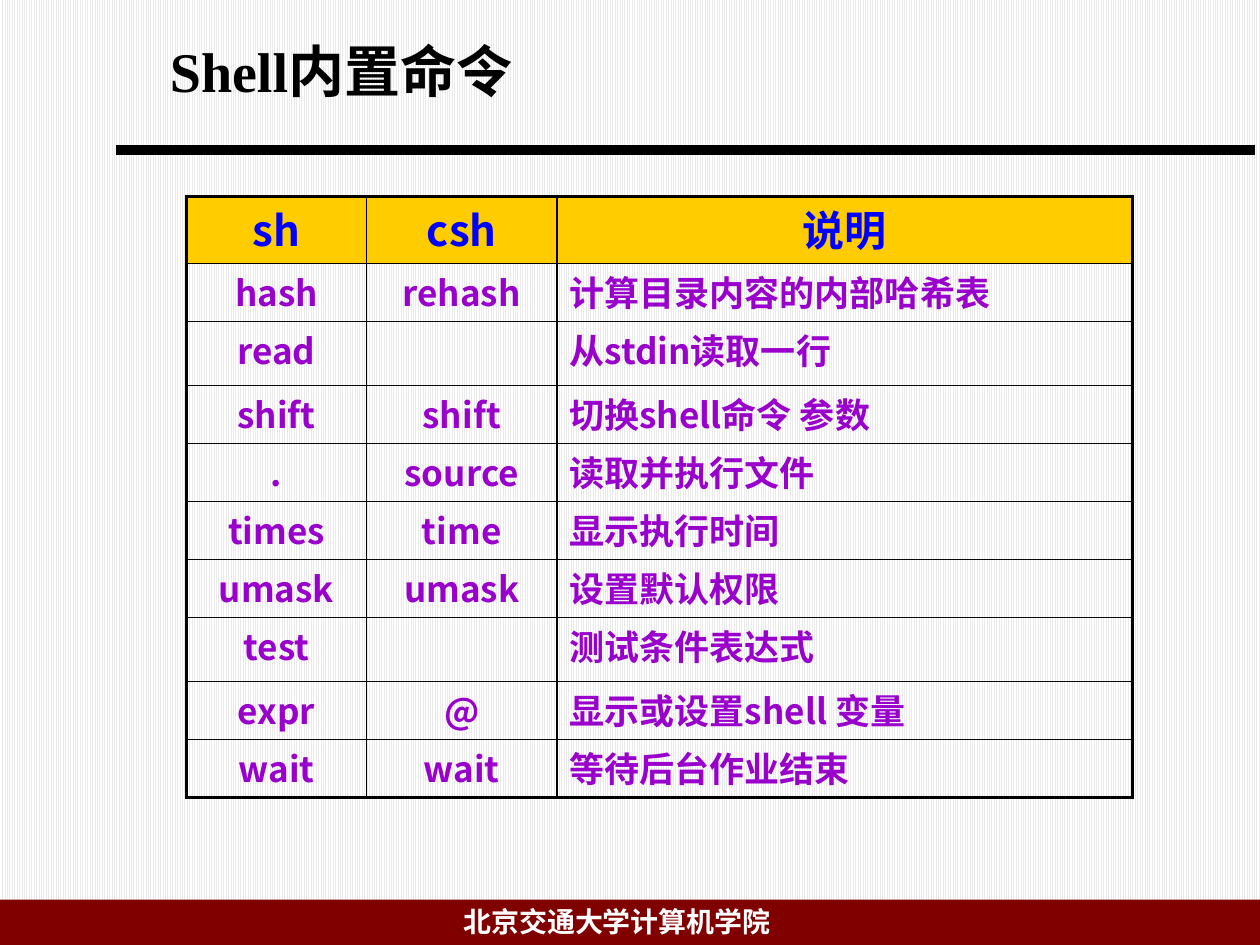
from typing import NamedTuple

from lxml.etree import SubElement
from pptx import Presentation
from pptx.dml.color import RGBColor
from pptx.enum.dml import MSO_PATTERN
from pptx.enum.shapes import MSO_CONNECTOR, MSO_SHAPE
from pptx.enum.text import MSO_ANCHOR, PP_ALIGN
from pptx.oxml.ns import qn
from pptx.util import Inches, Pt

COLORS = {
    "black": "000000",
    "white": "FFFFFF",
    "stripe": "EAEAEA",
    "footer": "800000",
    "header_fill": "FFCC00",
    "header_text": "0000FF",
    "body_text": "9900CC",
}
SANS = "Noto Sans CJK SC"
SERIF = "Times New Roman"


class TextStyle(NamedTuple):
    size: float
    color: str
    latin: str = SANS
    align: PP_ALIGN = PP_ALIGN.LEFT
    line_spacing: float = 0.9


class Command(NamedTuple):
    sh: str
    csh: str
    description: str


HEADER = Command("sh", "csh", "说明")
COMMANDS = [
    Command("hash", "rehash", "计算目录内容的内部哈希表"),
    Command("read", "", "从stdin读取一行"),
    Command("shift", "shift", "切换shell命令 参数"),
    Command(".", "source", "读取并执行文件"),
    Command("times", "time", "显示执行时间"),
    Command("umask", "umask", "设置默认权限"),
    Command("test", "", "测试条件表达式"),
    Command("expr", "@", "显示或设置shell 变量"),
    Command("wait", "wait", "等待后台作业结束"),
]
COLUMN_WIDTHS = [1.43, 1.51, 4.57]
HEADER_HEIGHT, ROW_HEIGHT, GAP_ROW_HEIGHT = 0.53, 0.46, 0.51
OUTER_BORDER, INNER_BORDER = 2.25, 1


def rgb(name: str) -> RGBColor:
    return RGBColor.from_string(COLORS[name])


def write_text(text_frame, text: str, style: TextStyle) -> None:
    text_frame.text = text
    paragraph = text_frame.paragraphs[0]
    paragraph.alignment = style.align
    paragraph.line_spacing = style.line_spacing
    for run in paragraph.runs:
        run.font.size = Pt(style.size)
        run.font.bold = True
        run.font.color.rgb = rgb(style.color)
        run.font.name = style.latin
        SubElement(run.font._element, qn("a:ea"), typeface=SANS)


def add_text(slide, left: float, top: float, width: float, height: float,
             text: str, style: TextStyle, anchor: MSO_ANCHOR) -> None:
    text_frame = slide.shapes.add_textbox(
        Inches(left), Inches(top), Inches(width), Inches(height)).text_frame
    text_frame.word_wrap = True
    text_frame.vertical_anchor = anchor
    write_text(text_frame, text, style)


def set_borders(cell, widths: dict[str, float]) -> None:
    """Draw the cell's sides; widths maps L, R, T, B (in that order) to points."""
    properties = cell._tc.get_or_add_tcPr()
    for side, width in widths.items():
        line = SubElement(properties, qn(f"a:ln{side}"), w=str(Pt(width)))
        fill = SubElement(line, qn("a:solidFill"))
        SubElement(fill, qn("a:srgbClr"), val=COLORS["black"])


def add_command_table(slide, left: float, top: float) -> None:
    rows = [HEADER, *COMMANDS]
    heights = [HEADER_HEIGHT] + [
        ROW_HEIGHT if command.csh else GAP_ROW_HEIGHT for command in COMMANDS]
    table = slide.shapes.add_table(
        len(rows), len(COLUMN_WIDTHS), Inches(left), Inches(top),
        Inches(sum(COLUMN_WIDTHS)), Inches(sum(heights))).table
    table.first_row = table.horz_banding = False
    for column, width in zip(table.columns, COLUMN_WIDTHS):
        column.width = Inches(width)
    last_row, last_column = len(rows) - 1, len(COLUMN_WIDTHS) - 1

    for i, (command, height) in enumerate(zip(rows, heights)):
        table.rows[i].height = Inches(height)
        is_header = i == 0
        for j, text in enumerate(command):
            cell = table.cell(i, j)
            is_outer = {"L": j == 0, "R": j == last_column,
                        "T": is_header, "B": i == last_row}
            set_borders(cell, {side: OUTER_BORDER if outer else INNER_BORDER
                               for side, outer in is_outer.items()})
            if is_header:
                cell.fill.solid()
                cell.fill.fore_color.rgb = rgb("header_fill")
            else:
                cell.fill.background()
            centred = is_header or j < last_column
            write_text(cell.text_frame, text, TextStyle(
                size=24 if is_header else 20,
                color="header_text" if is_header else "body_text",
                align=PP_ALIGN.CENTER if centred else PP_ALIGN.LEFT))


def add_background(slide) -> None:
    fill = slide.background.fill
    fill.patterned()
    fill.pattern = MSO_PATTERN.LIGHT_VERTICAL
    fill.fore_color.rgb = rgb("stripe")
    fill.back_color.rgb = rgb("white")


def add_footer_band(slide) -> None:
    band = slide.shapes.add_shape(
        MSO_SHAPE.RECTANGLE, Inches(0), Inches(7.14), Inches(10), Inches(0.36))
    band.shadow.inherit = False
    band.fill.solid()
    band.fill.fore_color.rgb = rgb("footer")
    band.line.fill.background()


def add_title_rule(slide) -> None:
    rule = slide.shapes.add_connector(
        MSO_CONNECTOR.STRAIGHT, Inches(0.92), Inches(1.19), Inches(9.96), Inches(1.19))
    rule.line.color.rgb = rgb("black")
    rule.line.width = Pt(6)
    SubElement(rule._element.spPr, qn("a:effectLst"))


def main() -> None:
    presentation = Presentation()
    presentation.slide_width = Inches(10)
    presentation.slide_height = Inches(7.5)
    slide = presentation.slides.add_slide(presentation.slide_layouts[6])

    add_background(slide)
    add_footer_band(slide)
    add_title_rule(slide)
    add_text(slide, 3.58, 7.13, 3.32, 0.37, "北京交通大学计算机学院",
             TextStyle(16, "white", SERIF, line_spacing=1.0), MSO_ANCHOR.MIDDLE)
    add_text(slide, 1.25, 0.3, 8.25, 1.25, "Shell内置命令",
             TextStyle(32, "black", SERIF), MSO_ANCHOR.TOP)
    add_command_table(slide, 1.48, 1.56)
    presentation.save("out.pptx")


if __name__ == "__main__":
    main()
